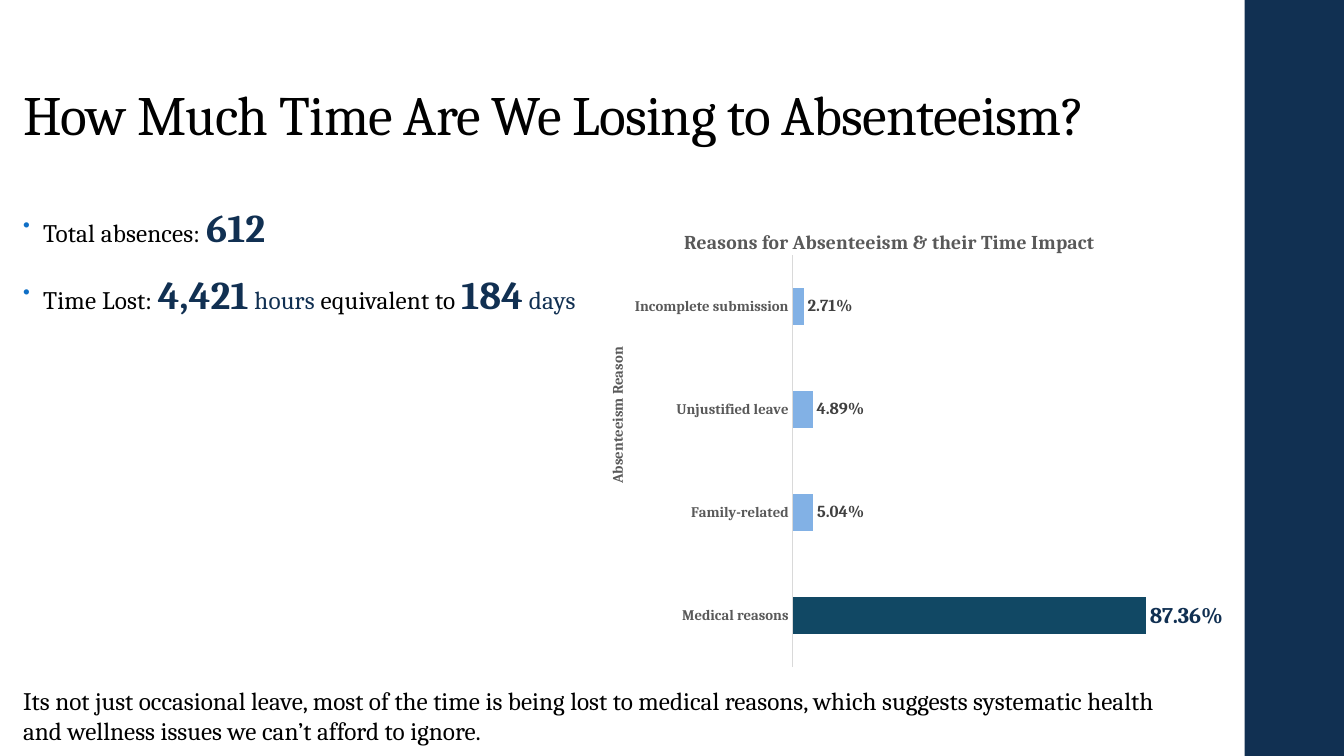
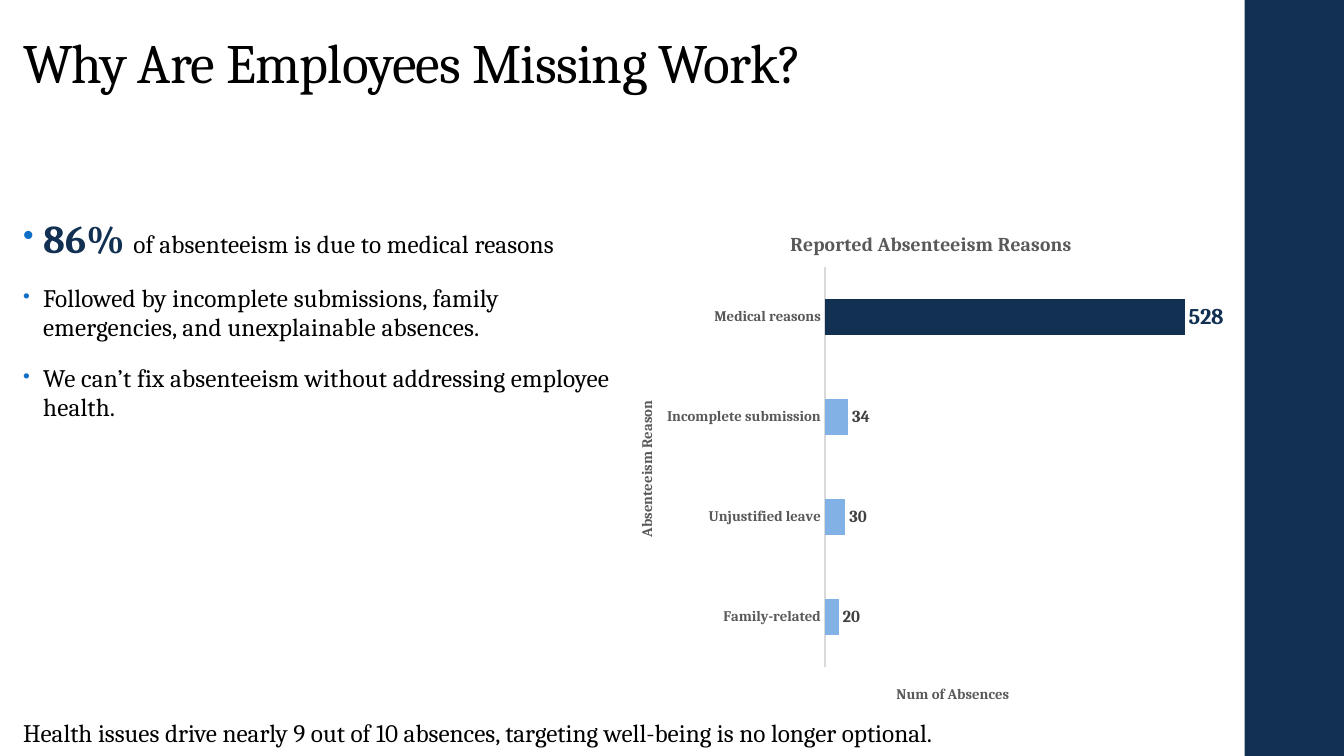
from pptx import Presentation
from pptx.chart.data import CategoryChartData as ChartData
from pptx.dml.color import RGBColor as RGB
from pptx.enum.chart import XL_CHART_TYPE as ChartType
from pptx.enum.chart import XL_LABEL_POSITION as LabelPos
from pptx.enum.chart import XL_TICK_LABEL_POSITION as TickPos
from pptx.enum.chart import XL_TICK_MARK as Tick
from pptx.enum.shapes import MSO_SHAPE as Shape
from pptx.enum.text import MSO_ANCHOR as Anchor
from pptx.oxml import parse_xml
from pptx.oxml.ns import nsdecls, qn
from pptx.util import Pt

FONT = "Cambria"
NAVY = RGB(0x11, 0x30, 0x52)
TEAL = RGB(0x11, 0x48, 0x64)
SKY = RGB(0x82, 0xB1, 0xE5)
BLACK = RGB(0, 0, 0)
GRAY = RGB(0x59, 0x59, 0x59)
DARK = RGB(0x40, 0x40, 0x40)
PALE = RGB(0xD9, 0xD9, 0xD9)
DOT = "0F6FC6"

WIDE, HIGH = 960, 540
BAND = 889
LEFT, SPAN = 9.4, 853
BODY = 438

PLAIN = (18, BLACK, False)
BIG = (28, NAVY, True)
UNIT = (18, NAVY, False)
HEAD = (39.6, BLACK, False)


def style(font, size, color, bold):
    font.name = FONT
    font.size = Pt(size)
    font.color.rgb = color
    font.bold = bold


def track(para, amount):
    for run in para.runs:
        run.font._element.set("spc", str(amount))


def frame(slide, box):
    text = slide.shapes.add_textbox(*map(Pt, box)).text_frame
    text.word_wrap = True
    return text


def add_band(slide):
    band = slide.shapes.add_shape(
        Shape.RECTANGLE, Pt(BAND), Pt(0), Pt(WIDE - BAND), Pt(HIGH))
    band.shadow.inherit = False
    band.fill.solid()
    band.fill.fore_color.rgb = NAVY
    band.line.fill.background()


def add_title(slide, words, box):
    text = frame(slide, box)
    text.vertical_anchor = Anchor.BOTTOM
    text.text = words
    para = text.paragraphs[0]
    para.line_spacing = 0.9
    style(para.runs[0].font, *HEAD)
    track(para, -50)


def add_note(slide, words, box):
    text = frame(slide, box)
    text.text = words
    style(text.paragraphs[0].runs[0].font, *PLAIN)


def add_dot(para):
    props = para._p.get_or_add_pPr()
    props.set("marL", str(Pt(14.4)))
    props.set("indent", str(-Pt(14.4)))
    for xml in (
        f'<a:buClr {nsdecls("a")}><a:srgbClr val="{DOT}"/></a:buClr>',
        f'<a:buSzPct {nsdecls("a")} val="80000"/>',
        f'<a:buChar {nsdecls("a")} char="•"/>',
    ):
        props.append(parse_xml(xml))


def add_list(slide, items, box):
    text = frame(slide, box)
    for i, parts in enumerate(items):
        para = text.add_paragraph() if i else text.paragraphs[0]
        para.line_spacing = 0.95
        para.space_before = Pt(14)
        para.space_after = Pt(2)
        add_dot(para)
        for words, look in parts:
            run = para.add_run()
            run.text = words
            style(run.font, *look)
        track(para, 10)


def place(node, box, spot):
    keys = ("x", "y", "w", "h")
    sizes = (box[2], box[3]) * 2
    inner = '<c:layoutTarget val="inner"/>' if len(spot) == 4 else ""
    modes = "".join(f'<c:{k}Mode val="edge"/>' for k in keys[:2])
    vals = "".join(
        f'<c:{k} val="{v / size:.4f}"/>' for k, v, size in zip(keys, spot, sizes))
    new = parse_xml(
        f'<c:layout {nsdecls("c")}><c:manualLayout>{inner}{modes}{vals}'
        '</c:manualLayout></c:layout>')
    for old in node.findall(qn("c:layout")):
        node.remove(old)
    node.insert(0 if node.find(qn("c:tx")) is None else 1, new)


def label(title, words, size, box, spot, turn=0):
    text = title.text_frame
    text.text = words
    style(text.paragraphs[0].runs[0].font, size, GRAY, True)
    body = text._txBody.bodyPr
    body.set("rot", str(turn * 60000))
    body.set("vert", "horz")
    place(title._element, box, spot)


def add_bars(slide, box, title, rows, form, top, peak, tint, spots):
    data = ChartData(number_format=form)
    data.categories = [name for name, _ in rows]
    data.add_series("Series 1", [val for _, val in rows])
    chart = slide.shapes.add_chart(
        ChartType.BAR_CLUSTERED, *map(Pt, box), data).chart
    style(chart.font, 10, BLACK, False)
    chart.has_legend = False
    label(chart.chart_title, title, 14, box, spots["title"])
    place(chart._chartSpace.chart.plotArea, box, spots["plot"])

    cats = chart.category_axis
    cats.major_tick_mark = cats.minor_tick_mark = Tick.NONE
    cats.tick_label_position = TickPos.NEXT_TO_AXIS
    cats.has_major_gridlines = False
    cats.format.line.color.rgb = PALE
    cats.format.line.width = Pt(0.75)
    style(cats.tick_labels.font, 10.5, GRAY, True)
    label(cats.axis_title, "Absenteeism Reason", 10.5, box, spots["cats"], -90)

    vals = chart.value_axis
    vals.minimum_scale = 0
    vals.maximum_scale = top
    vals.has_major_gridlines = False
    if "vals" in spots:
        label(vals.axis_title, "Num of Absences", 10.5, box, spots["vals"])
    vals.visible = False

    plot = chart.plots[0]
    plot.gap_width = 182
    plot.vary_by_categories = False
    bars = plot.series[0]
    bars.format.fill.solid()
    bars.format.fill.fore_color.rgb = SKY
    tags = bars.data_labels
    tags.show_value = True
    tags.position = LabelPos.OUTSIDE_END
    tags.number_format = form
    tags.number_format_is_linked = False
    style(tags.font, 12, DARK, True)
    point = bars.points[peak]
    point.format.fill.solid()
    point.format.fill.fore_color.rgb = tint
    style(point.data_label.font, 16, NAVY, True)
    point.data_label.position = LabelPos.OUTSIDE_END


def add_loss(slide):
    add_band(slide)
    add_title(slide, "How Much Time Are We Losing to Absenteeism?",
              (LEFT, 16, SPAN, 93))
    add_list(slide, [
        [("Total absences: ", PLAIN), ("612", BIG)],
        [("Time Lost: ", PLAIN), ("4,421", BIG), (" hours ", UNIT),
         ("equivalent to ", PLAIN), ("184", BIG), (" ", PLAIN),
         ("days", UNIT)],
    ], (LEFT, 144, BODY, 343))
    add_bars(
        slide, (417, 144, 469.5, 357),
        "Reasons for Absenteeism & their Time Impact",
        [("Medical reasons", 0.8736), ("Family-related", 0.0504),
         ("Unjustified leave", 0.0489), ("Incomplete submission", 0.0271)],
        "0.00%", 1, 0, TEAL,
        {"plot": (149.3, 38.2, 288.7, 294.5), "title": (69, 17),
         "cats": (15, 102)})
    add_note(slide, "Its not just occasional leave, most of the time is being "
             "lost to medical reasons, which suggests systematic health and "
             "wellness issues we can’t afford to ignore.",
             (LEFT, 486, SPAN, 51))


def add_cause(slide):
    add_band(slide)
    add_title(slide, "Why Are Employees Missing Work?", (LEFT, 18.7, SPAN, 53.3))
    add_list(slide, [
        [("86% ", BIG), ("of absenteeism is due to medical reasons", PLAIN)],
        [("Followed by incomplete submissions, family emergencies, and "
          "unexplainable absences.", PLAIN)],
        [("We can’t fix absenteeism without addressing employee health.",
          PLAIN)],
    ], (LEFT, 152, BODY, 343))
    add_note(slide, "Health issues drive nearly 9 out of 10 absences, "
             "targeting well-being is no longer optional.",
             (LEFT, 508.5, SPAN, 29))
    add_bars(
        slide, (435.5, 147, 454.5, 367), "Reported Absenteeism Reasons",
        [("Family-related", 20), ("Unjustified leave", 30),
         ("Incomplete submission", 34), ("Medical reasons", 528)],
        "General", 600, 3, NAVY,
        {"plot": (153.8, 43.7, 292, 285.7), "title": (126.6, 16),
         "cats": (17.4, 137.3), "vals": (203, 340)})


def main():
    deck = Presentation()
    deck.slide_width, deck.slide_height = Pt(WIDE), Pt(HIGH)
    for build in (add_loss, add_cause):
        build(deck.slides.add_slide(deck.slide_layouts[6]))
    deck.save("out.pptx")


if __name__ == "__main__":
    main()
